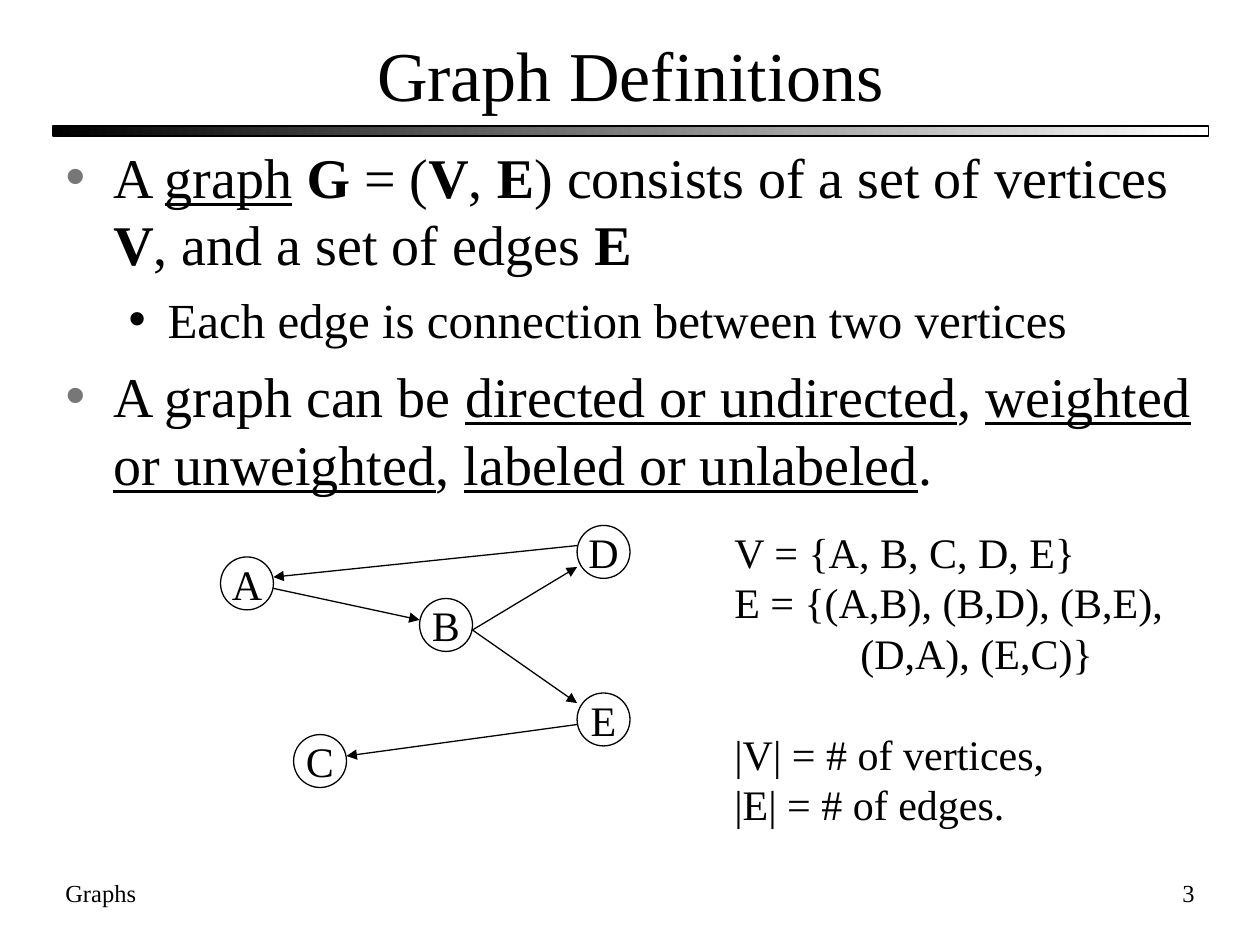
import lxml.etree
import pptx
import pptx.dml.color
import pptx.enum.shapes
import pptx.enum.text
import pptx.oxml.ns
import pptx.util

Inches = pptx.util.Inches
Pt = pptx.util.Pt
Align = pptx.enum.text.PP_ALIGN
Anchor = pptx.enum.text.MSO_ANCHOR
FONT = "Times New Roman"
COLORS = {"ink": "000000", "paper": "FFFFFF", "bullet": "777777"}
LEFT, WIDTH = 0.42, 9.17
NODE_SIZE = 0.42

BODY = [
    (0, [("A ", ""), ("graph", "u"), (" ", ""), ("G", "b"), (" = (", ""),
         ("V", "b"), (", ", ""), ("E", "b"),
         (") consists of a set of vertices ", ""), ("V", "b"),
         (", and a set of edges ", ""), ("E", "b")]),
    (1, [("Each edge is connection between two vertices", "")]),
    (0, [("A graph can be ", ""), ("directed or undirected", "u"), (", ", ""),
         ("weighted or unweighted", "u"), (", ", ""),
         ("labeled or unlabeled", "u"), (".", "")]),
]
LEVELS = [
    {"size": 32, "margin": 0.38, "hang": 0.38, "before": 8, "bullet": "bullet"},
    {"size": 28, "margin": 0.81, "hang": 0.31, "before": 7, "bullet": "ink"},
]
NODES = {"A": (0, 0.25), "B": (1.58, 0.58), "C": (0.58, 1.66),
         "D": (2.83, 0), "E": (2.83, 1.33)}
EDGES = [
    ((0.42, 0.5), (1.58, 0.75)),
    ((2, 0.83), (2.83, 0.33)),
    ((2, 0.83), (2.83, 1.41)),
    ((2.83, 1.58), (1, 1.83)),
    ((2.83, 0.16), (0.42, 0.41)),
]
NOTATION = [
    ("V = {A, B, C, D, E}", 0, 0),
    ("E = {(A,B), (B,D), (B,E),\v(D,A), (E,C)}", 1, 0),
    ("|V| = # of vertices,", 0, 28.8),
    ("|E| = # of edges.", 0, 0),
]


def color(name):
    """Return the named colour."""
    return pptx.dml.color.RGBColor.from_string(COLORS[name])


def place(shape, box):
    """Move a shape to a box given in inches."""
    shape.left, shape.top, shape.width, shape.height = map(Inches, box)


def style(span, size):
    """Apply the slide's typeface to a run."""
    span.font.name = FONT
    span.font.size = Pt(size)
    span.font.color.rgb = color("ink")


def add_element(parent, tag, **attributes):
    """Append a drawing element with attributes."""
    return lxml.etree.SubElement(parent, pptx.oxml.ns.qn(tag), attributes)


def indent(para, margin, hang):
    """Give a paragraph a hanging indent in inches."""
    properties = para._p.get_or_add_pPr()
    properties.set("marL", str(Inches(margin)))
    properties.set("indent", str(-Inches(hang)))
    return properties


def add_title(page, box):
    """Set the title in its placeholder."""
    title = page.shapes.title
    place(title, box)
    frame = title.text_frame
    frame.text = "Graph Definitions"
    frame.vertical_anchor = Anchor.MIDDLE
    frame.auto_size = pptx.enum.text.MSO_AUTO_SIZE.NONE
    frame.paragraphs[0].alignment = Align.CENTER
    style(frame.paragraphs[0].runs[0], 40)


def add_rule(page, box):
    """Draw the gradient bar under the title."""
    bar = page.shapes.add_shape(
        pptx.enum.shapes.MSO_SHAPE.RECTANGLE, *map(Inches, box))
    bar.shadow.inherit = False
    bar.fill.gradient()
    bar.fill.gradient_angle = 0
    for stop, name in zip(bar.fill.gradient_stops, ("ink", "paper")):
        stop.color.rgb = color(name)
    bar.line.color.rgb = color("ink")
    bar.line.width = Pt(0.75)


def add_body(page, box):
    """Fill the body placeholder with the definitions."""
    body = page.placeholders[1]
    place(body, box)
    frame = body.text_frame
    frame.auto_size = pptx.enum.text.MSO_AUTO_SIZE.NONE
    for index, (level, spans) in enumerate(BODY):
        para = frame.add_paragraph() if index else frame.paragraphs[0]
        look = LEVELS[level]
        para.level = level
        properties = indent(para, look["margin"], look["hang"])
        bullet_color = add_element(properties, "a:buClr")
        add_element(bullet_color, "a:srgbClr", val=COLORS[look["bullet"]])
        add_element(properties, "a:buChar", char="•")
        para.space_before = Pt(look["before"] if index else 0)
        for text, mark in spans:
            span = para.add_run()
            span.text = text
            style(span, look["size"])
            span.font.bold = mark == "b"
            span.font.underline = mark == "u"


def add_graph(page, box):
    """Draw the directed graph from the corner of its box."""
    left, top = box[:2]
    for name, (x, y) in NODES.items():
        node = page.shapes.add_shape(
            pptx.enum.shapes.MSO_SHAPE.OVAL, Inches(left + x), Inches(top + y),
            Inches(NODE_SIZE), Inches(NODE_SIZE))
        node.shadow.inherit = False
        node.fill.background()
        node.line.color.rgb = color("ink")
        node.line.width = Pt(0.75)
        frame = node.text_frame
        frame.text = name
        frame.word_wrap = False
        frame.vertical_anchor = Anchor.MIDDLE
        frame.paragraphs[0].alignment = Align.CENTER
        style(frame.paragraphs[0].runs[0], 24)
    for (x1, y1), (x2, y2) in EDGES:
        edge = page.shapes.add_connector(
            pptx.enum.shapes.MSO_CONNECTOR.STRAIGHT,
            Inches(left + x1), Inches(top + y1),
            Inches(left + x2), Inches(top + y2))
        edge.line.color.rgb = color("ink")
        edge.line.width = Pt(0.75)
        add_element(edge.line._get_or_add_ln(), "a:tailEnd", type="triangle")
        add_element(edge._element.spPr, "a:effectLst")


def add_text(page, box, lines, size, alignment=Align.LEFT):
    """Add a text box of (text, hanging inches, points before) lines."""
    frame = page.shapes.add_textbox(*map(Inches, box)).text_frame
    frame.word_wrap = True
    frame.margin_right = Inches(0.1 if alignment == Align.RIGHT else 0)
    for index, (text, hang, before) in enumerate(lines):
        para = frame.add_paragraph() if index else frame.paragraphs[0]
        para.text = text
        para.alignment = alignment
        para.space_before = Pt(before)
        if hang:
            indent(para, hang, hang)
        for span in para.runs:
            style(span, size)


def main():
    """Build and save the slide."""
    deck = pptx.Presentation()
    deck.slide_width, deck.slide_height = Inches(10), Inches(7.5)
    page = deck.slides.add_slide(deck.slide_layouts[1])
    page.background.fill.solid()
    page.background.fill.fore_color.rgb = color("paper")
    add_rule(page, (LEFT, 1, WIDTH, 0.08))
    add_title(page, (LEFT, 0.17, WIDTH, 0.83))
    add_body(page, (LEFT, 1.08, WIDTH, 5.75))
    add_graph(page, (1.75, 4.17, 3.25, 2.08))
    add_text(page, (5.73, 4.13, 3.6, 2.5), NOTATION, 24)
    add_text(page, (LEFT, 6.92, 3.5, 0.5), [("Graphs", 0, 0)], 14)
    add_text(page, (7.5, 6.92, 2.08, 0.5), [("3", 0, 0)], 14, Align.RIGHT)
    deck.save("out.pptx")


if __name__ == "__main__":
    main()
